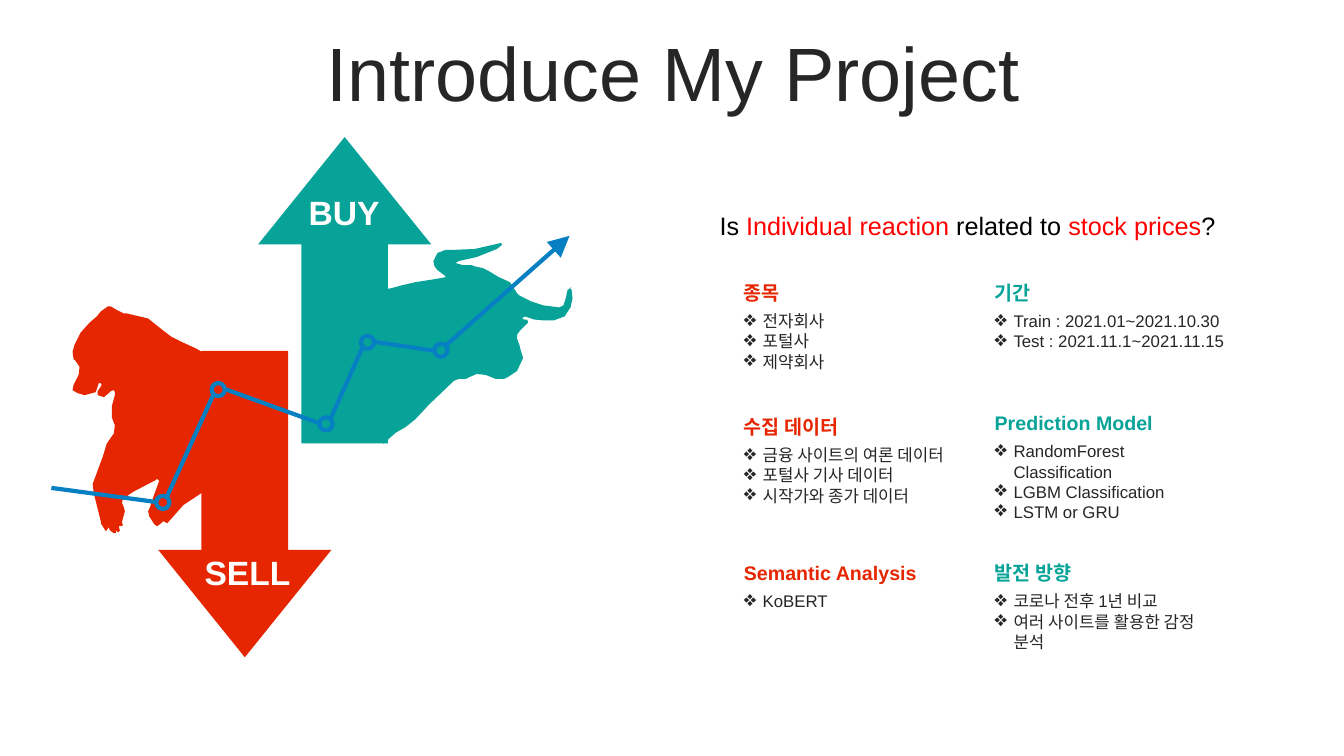
from dataclasses import dataclass
from typing import Optional

import pptx
import pptx.dml.color
import pptx.enum.shapes
import pptx.enum.text
import pptx.oxml.ns
import pptx.util
from lxml import etree

Pt = pptx.util.Pt
RGBColor = pptx.dml.color.RGBColor
Shapes = pptx.enum.shapes.MSO_SHAPE
Align = pptx.enum.text.PP_ALIGN
Anchor = pptx.enum.text.MSO_ANCHOR
qn = pptx.oxml.ns.qn

TEAL = RGBColor(0x07, 0xA3, 0x98)
RED = RGBColor(0xE6, 0x26, 0x01)
BLUE = RGBColor(0x06, 0x80, 0xC3)
DARK = RGBColor(0x26, 0x26, 0x26)
BLACK = RGBColor(0, 0, 0)
WHITE = RGBColor(0xFF, 0xFF, 0xFF)
HIGHLIGHT = RGBColor(0xFF, 0, 0)

OUTLINE_UNIT = Pt(0.72)
MARKER_SIZE = 9.4
TREND_WIDTH = 3
COLUMN_WIDTH = 178.6
HEADING_HEIGHT = 24.5
HEADING_TO_ITEMS = 21.3
BULLET_INDENT = 13.5
BULLET_SCALE = "130000"

BULL_OUTLINE = (
    (497, 241), (493, 242), (471, 247), (448, 248), (442, 248), (434, 251), (430, 259),
    (431, 264), (434, 268), (442, 274), (442, 275), (431, 277), (412, 280), (399, 283),
    (388, 286), (381, 287), (380, 440), (381, 440), (385, 436), (393, 429), (402, 424),
    (412, 416), (426, 401), (447, 381), (450, 378), (455, 376), (462, 376), (466, 374),
    (473, 371), (482, 372), (492, 376), (500, 376), (504, 374), (513, 368), (519, 355),
    (517, 349), (515, 341), (514, 339), (513, 336), (513, 332), (516, 328), (524, 320),
    (523, 317), (520, 317), (518, 316), (519, 315), (521, 314), (530, 317), (540, 318),
    (549, 318), (560, 314), (566, 305), (568, 296), (567, 287), (565, 286), (567, 285),
    (563, 288), (561, 297), (559, 303), (555, 305), (539, 303), (527, 299), (515, 293),
    (513, 291), (506, 280), (495, 275), (485, 269), (479, 266), (474, 265), (470, 264),
    (468, 263), (461, 263), (459, 263), (452, 261), (455, 259), (473, 255), (493, 247),
    (498, 243),
)
BEAR_OUTLINE = (
    (107, 304), (100, 309), (96, 314), (89, 320), (80, 330), (74, 342), (72, 349),
    (73, 356), (75, 358), (79, 364), (78, 372), (73, 382), (72, 387), (77, 390),
    (84, 392), (95, 389), (97, 383), (98, 380), (100, 380), (101, 382), (97, 388),
    (97, 392), (103, 394), (108, 390), (110, 388), (113, 387), (114, 389), (114, 392),
    (111, 403), (111, 414), (114, 422), (113, 430), (106, 440), (102, 453), (95, 472),
    (92, 480), (93, 489), (100, 517), (100, 519), (105, 527), (108, 523), (109, 526),
    (113, 529), (115, 529), (115, 528), (115, 526), (117, 528), (118, 528), (119, 526),
    (118, 523), (118, 522), (120, 522), (122, 521), (121, 518), (122, 514), (124, 507),
    (122, 501), (121, 499), (122, 495), (132, 488), (155, 476), (156, 475), (158, 477),
    (150, 499), (149, 503), (147, 507), (148, 512), (153, 520), (156, 522), (160, 519),
    (162, 517), (166, 519), (182, 501), (282, 435), (281, 434), (274, 425), (251, 404),
    (237, 390), (226, 374), (218, 362), (207, 353), (195, 346), (182, 340), (170, 334),
    (162, 328), (147, 316), (126, 311), (123, 311), (115, 307), (110, 304),
)


@dataclass(frozen=True)
class Box:
    left: float
    top: float
    width: float
    height: float


@dataclass(frozen=True)
class Run:
    text: str
    color: Optional[RGBColor] = None


@dataclass(frozen=True)
class Signal:
    word: str
    outline: tuple
    arrow: int
    arrow_box: Box
    word_box: Box
    color: RGBColor


@dataclass(frozen=True)
class Segment:
    x1: float
    y1: float
    x2: float
    y2: float
    arrowhead: bool = False


@dataclass(frozen=True)
class Section:
    left: float
    top: float
    items_height: float
    color: RGBColor
    heading: str
    items: tuple


SIGNALS = (
    Signal("BUY", BULL_OUTLINE, Shapes.UP_ARROW, Box(184.3, 97.9, 123.8, 218.9),
           Box(195.8, 133.2, 100.1, 38.2), TEAL),
    Signal("SELL", BEAR_OUTLINE, Shapes.DOWN_ARROW, Box(113, 250.6, 123.8, 218.9),
           Box(126.7, 391, 100.1, 38.2), RED),
)
MARKERS = ((310.3, 245.5), (151.2, 273.6), (257.8, 239.8), (111.6, 354.2), (228.2, 298.1))
SEGMENTS = (
    Segment(111.6, 358.6, 36.7, 348.5),
    Segment(152.6, 281.5, 118.8, 355.7),
    Segment(228.2, 302.4, 160.6, 277.9),
    Segment(259.2, 247.7, 236.2, 298.8),
    Segment(267.1, 244.1, 310.3, 250.6),
    Segment(318.2, 247, 406.8, 168.5, arrowhead=True),
)
LEFT, RIGHT = 524.2, 703.4
SECTIONS = (
    Section(LEFT, 197.3, 51, RED, "종목", ("전자회사", "포털사", "제약회사")),
    Section(RIGHT, 197.3, 36, TEAL, "기간",
            ("Train : 2021.01~2021.10.30", "Test : 2021.11.1~2021.11.15")),
    Section(LEFT, 293, 65.5, RED, "수집 데이터",
            ("금융 사이트의 여론 데이터", "포털사 기사 데이터", "시작가와 종가 데이터")),
    Section(RIGHT, 290.2, 65.5, TEAL, "Prediction Model",
            ("RandomForest Classification", "LGBM Classification", "LSTM or GRU")),
    Section(LEFT, 397.4, 21.6, RED, "Semantic Analysis", ("KoBERT",)),
    Section(RIGHT, 397.4, 51, TEAL, "발전 방향",
            ("코로나 전후 1년 비교", "여러 사이트를 활용한 감정 분석")),
)
QUESTION = (Run("Is "), Run("Individual reaction", HIGHLIGHT), Run(" related to "),
            Run("stock prices", HIGHLIGHT), Run("?"))


def place(box: Box) -> tuple:
    return Pt(box.left), Pt(box.top), Pt(box.width), Pt(box.height)


def add_text(slide, box: Box, paragraphs, *, size: float, color: RGBColor, bold=False,
             align=Align.LEFT, anchor=Anchor.TOP, line_spacing=1.0, bullet="") -> None:
    frame = slide.shapes.add_textbox(*place(box)).text_frame
    frame.word_wrap = True
    frame.vertical_anchor = anchor
    for index, runs in enumerate(paragraphs):
        paragraph = frame.paragraphs[0] if index == 0 else frame.add_paragraph()
        paragraph.alignment = align
        paragraph.line_spacing = line_spacing
        if bullet:
            properties = paragraph._p.get_or_add_pPr()
            properties.set("marL", str(Pt(BULLET_INDENT)))
            properties.set("indent", str(-Pt(BULLET_INDENT)))
            etree.SubElement(properties, qn("a:buSzPct")).set("val", BULLET_SCALE)
            etree.SubElement(properties, qn("a:buChar")).set("char", bullet)
        for part in runs:
            run = paragraph.add_run()
            run.text = part.text
            run.font.name = "Arial"
            run.font.size = Pt(size)
            run.font.bold = bold
            run.font.color.rgb = part.color or color


def fill_plain(shape, color: RGBColor) -> None:
    shape.shadow.inherit = False
    shape.fill.solid()
    shape.fill.fore_color.rgb = color
    shape.line.fill.background()


def add_signal(slide, signal: Signal) -> None:
    builder = slide.shapes.build_freeform(*signal.outline[0], scale=OUTLINE_UNIT)
    builder.add_line_segments(signal.outline[1:], close=True)
    fill_plain(builder.convert_to_shape(), signal.color)
    arrow = slide.shapes.add_shape(signal.arrow, *place(signal.arrow_box))
    arrow.adjustments[0] = 0.5
    arrow.adjustments[1] = 0.62
    fill_plain(arrow, signal.color)
    add_text(slide, signal.word_box, [[Run(signal.word)]], size=24, color=WHITE,
             bold=True, align=Align.CENTER)


def add_marker(slide, left: float, top: float) -> None:
    marker = slide.shapes.add_shape(Shapes.OVAL, *place(Box(left, top, MARKER_SIZE, MARKER_SIZE)))
    marker.shadow.inherit = False
    marker.fill.background()
    marker.line.color.rgb = BLUE
    marker.line.width = Pt(TREND_WIDTH)


def add_segment(slide, segment: Segment) -> None:
    connector = slide.shapes.add_connector(
        pptx.enum.shapes.MSO_CONNECTOR.STRAIGHT,
        Pt(segment.x1), Pt(segment.y1), Pt(segment.x2), Pt(segment.y2))
    connector.line.color.rgb = BLUE
    connector.line.width = Pt(TREND_WIDTH)
    if segment.arrowhead:
        etree.SubElement(connector.line._get_or_add_ln(), qn("a:tailEnd"),
                         type="triangle", w="lg", len="lg")
    etree.SubElement(connector._element.spPr, qn("a:effectLst"))


def add_section(slide, section: Section) -> None:
    add_text(slide, Box(section.left, section.top + HEADING_TO_ITEMS, COLUMN_WIDTH,
                        section.items_height),
             [[Run(item)] for item in section.items], size=12, color=DARK, bullet="❖")
    add_text(slide, Box(section.left, section.top, COLUMN_WIDTH, HEADING_HEIGHT),
             [[Run(section.heading)]], size=14, color=section.color, bold=True)


def main() -> None:
    presentation = pptx.Presentation()
    presentation.slide_width = Pt(960)
    presentation.slide_height = Pt(540)
    slide = presentation.slides.add_slide(presentation.slide_layouts[6])
    add_text(slide, Box(25.2, 26.6, 911.5, 56.9), [[Run("Introduce My Project")]], size=54,
             color=DARK, align=Align.CENTER, anchor=Anchor.MIDDLE, line_spacing=0.9)
    for signal in SIGNALS:
        add_signal(slide, signal)
    for left, top in MARKERS:
        add_marker(slide, left, top)
    for segment in SEGMENTS:
        add_segment(slide, segment)
    add_text(slide, Box(506.9, 146.9, 395.3, 28.8), [QUESTION], size=18, color=BLACK)
    for section in SECTIONS:
        add_section(slide, section)
    presentation.save("out.pptx")


if __name__ == "__main__":
    main()
